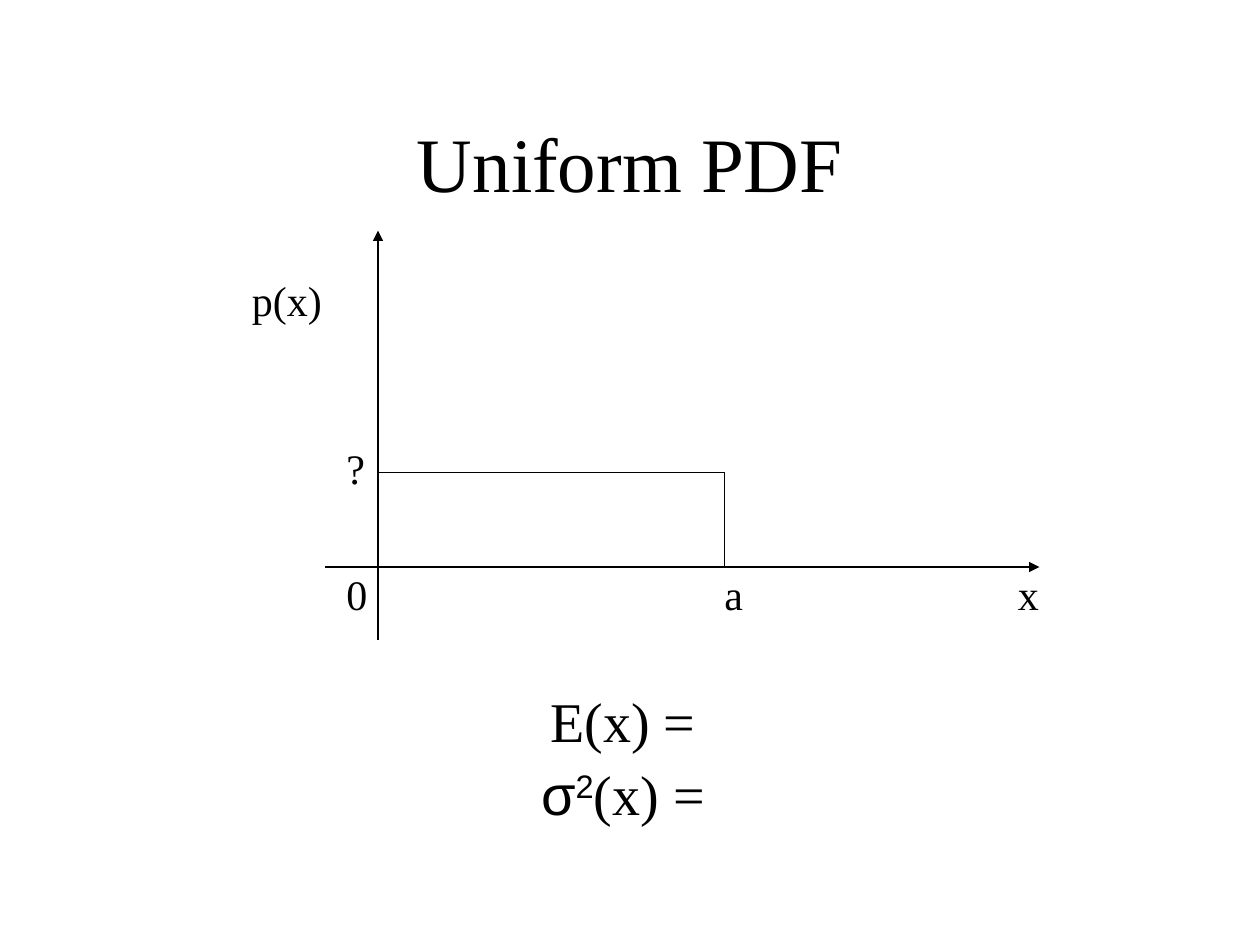
from dataclasses import dataclass

from lxml.etree import SubElement
from pptx import Presentation
from pptx.dml.color import RGBColor
from pptx.enum.shapes import MSO_CONNECTOR
from pptx.enum.text import MSO_ANCHOR, MSO_AUTO_SIZE, PP_ALIGN
from pptx.oxml.ns import qn
from pptx.slide import Slide
from pptx.text.text import TextFrame, _Run
from pptx.util import Inches, Pt

BLACK = RGBColor(0x00, 0x00, 0x00)
SERIF = "Times New Roman"
SANS = "Arial"

ORIGIN_X, ORIGIN_Y = 3.0, 4.5
DENSITY_END, DENSITY_TOP = 5.75, 3.75
LABEL_ROW = 4.46
LABEL_COLUMN = 2.65


@dataclass(frozen=True)
class Line:
    x1: float
    y1: float
    x2: float
    y2: float
    arrow: bool = False


@dataclass(frozen=True)
class Label:
    text: str
    left: float
    top: float
    width: float = 0.37


LINES = [
    Line(2.58, ORIGIN_Y, 8.25, ORIGIN_Y, arrow=True),
    Line(ORIGIN_X, 5.08, ORIGIN_X, 1.83, arrow=True),
    Line(ORIGIN_X, DENSITY_TOP, DENSITY_END, DENSITY_TOP),
    Line(DENSITY_END, DENSITY_TOP, DENSITY_END, ORIGIN_Y),
]

LABELS = [
    Label("p(x)", 1.9, 2.13, 0.8),
    Label("?", LABEL_COLUMN, 3.46),
    Label("0", LABEL_COLUMN, LABEL_ROW),
    Label("a", 5.65, LABEL_ROW),
    Label("x", 7.98, LABEL_ROW),
]


def format_run(run: _Run, size: float, font_name: str = SERIF) -> None:
    run.font.size = Pt(size)
    run.font.name = font_name
    run.font.color.rgb = BLACK


def add_text_frame(slide: Slide, left: float, top: float, width: float,
                   height: float, anchor: MSO_ANCHOR) -> TextFrame:
    shape = slide.shapes.add_textbox(
        Inches(left), Inches(top), Inches(width), Inches(height))
    text_frame = shape.text_frame
    text_frame.word_wrap = True
    text_frame.vertical_anchor = anchor
    return text_frame


def add_title(slide: Slide) -> None:
    text_frame = add_text_frame(slide, 0.75, 0.66, 8.5, 1.25, MSO_ANCHOR.MIDDLE)
    text_frame.text = "Uniform PDF"
    paragraph = text_frame.paragraphs[0]
    paragraph.alignment = PP_ALIGN.CENTER
    format_run(paragraph.runs[0], 44)


def add_moments(slide: Slide) -> None:
    text_frame = add_text_frame(slide, 0.75, 2.17, 8.5, 4.5, MSO_ANCHOR.BOTTOM)
    text_frame.margin_bottom = Inches(0.1)
    mean = text_frame.paragraphs[0]
    mean.text = "E(x) = "
    mean.alignment = PP_ALIGN.CENTER
    format_run(mean.runs[0], 32)

    variance = text_frame.add_paragraph()
    variance.alignment = PP_ALIGN.CENTER
    variance.space_before = Pt(8)
    variance.line_spacing = 0.9
    for text, font_name in (("σ", SANS), ("2", SANS), ("(x) = ", SERIF)):
        run = variance.add_run()
        run.text = text
        format_run(run, 32, font_name)
    variance.runs[1].font._element.set("baseline", "30000")


def add_line(slide: Slide, line: Line) -> None:
    connector = slide.shapes.add_connector(
        MSO_CONNECTOR.STRAIGHT, Inches(line.x1), Inches(line.y1),
        Inches(line.x2), Inches(line.y2))
    connector.line.color.rgb = BLACK
    connector.line.width = Pt(0.74)
    if line.arrow:
        SubElement(connector.line._get_or_add_ln(), qn("a:tailEnd"), type="triangle")
    SubElement(connector._element.spPr, qn("a:effectLst"))


def add_label(slide: Slide, label: Label) -> None:
    text_frame = add_text_frame(
        slide, label.left, label.top, label.width, 0.5, MSO_ANCHOR.TOP)
    text_frame.word_wrap = False
    text_frame.auto_size = MSO_AUTO_SIZE.SHAPE_TO_FIT_TEXT
    text_frame.text = label.text
    format_run(text_frame.paragraphs[0].runs[0], 24)


def main() -> None:
    presentation = Presentation()
    presentation.slide_width = Inches(10)
    presentation.slide_height = Inches(7.5)
    slide = presentation.slides.add_slide(presentation.slide_layouts[6])
    add_title(slide)
    add_moments(slide)
    for line in LINES:
        add_line(slide, line)
    for label in LABELS:
        add_label(slide, label)
    presentation.save("out.pptx")


main()
